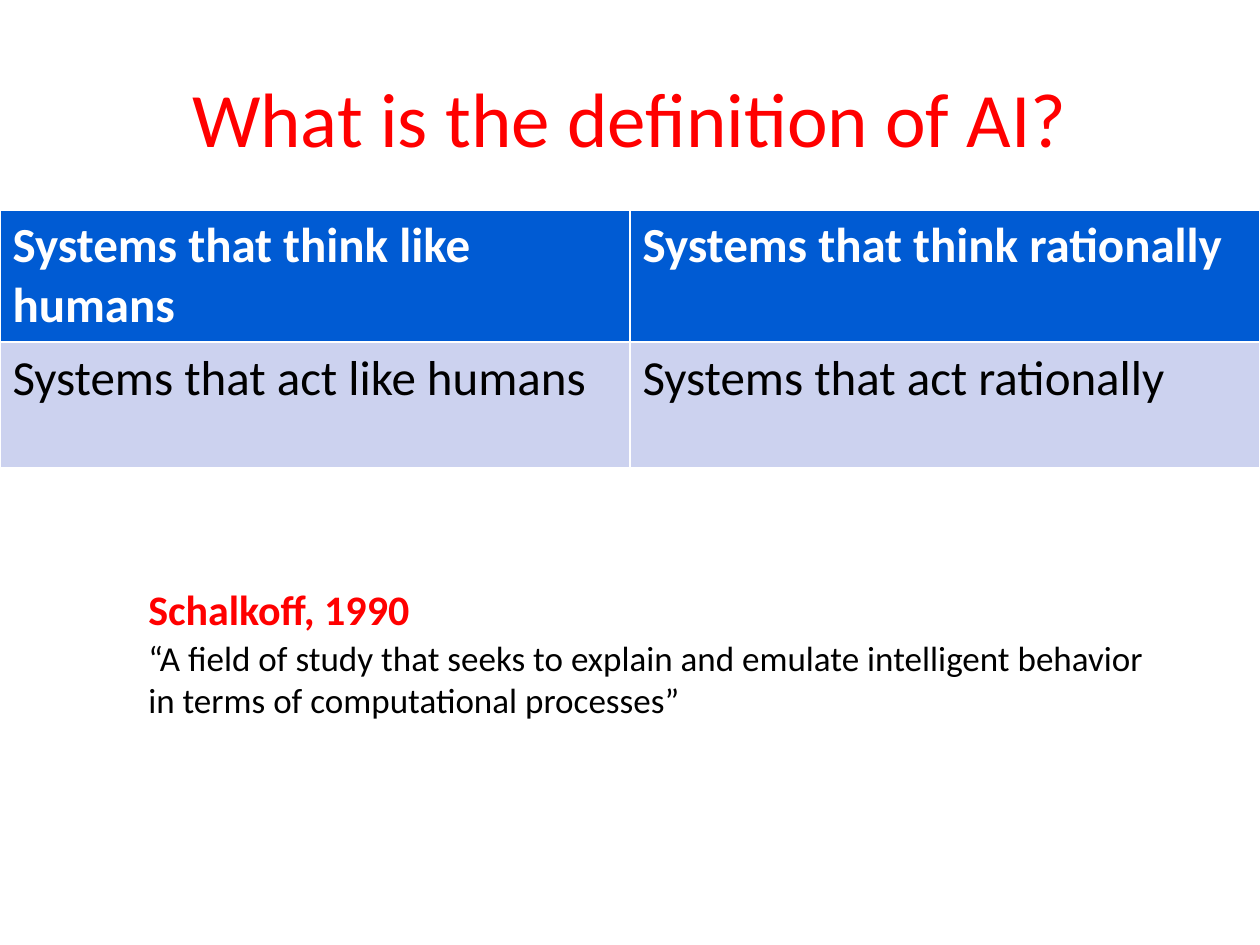
from pptx import Presentation
from pptx.dml.color import RGBColor as RGB
from pptx.enum.text import MSO_ANCHOR as Anchor, MSO_AUTO_SIZE as Fit, PP_ALIGN as Align
from pptx.util import Cm, Pt

RED = RGB(0xFF, 0x00, 0x00)
BLUE = RGB(0x00, 0x5B, 0xD3)
PALE = RGB(0xCC, 0xD2, 0xEF)
WHITE = RGB(0xFF, 0xFF, 0xFF)
BLACK = RGB(0x00, 0x00, 0x00)


class Deck:
    """Holds the font and the current slide, and adds elements to it."""

    def __init__(self, font, wide, high):
        self.font = font
        self.prs = Presentation()
        self.prs.slide_width, self.prs.slide_height = Cm(wide), Cm(high)
        self.slide = self.prs.slides.add_slide(self.prs.slide_layouts[5])

    def fill_text(self, frame, text, size, color, bold=False):
        frame.text = text
        para = frame.paragraphs[0]
        font = para.font
        font.name, font.size, font.bold = self.font, Pt(size), bold
        font.color.rgb = color
        return para

    def title(self, text, left, top, wide, high):
        shape = self.slide.shapes.title
        shape.left, shape.top = Cm(left), Cm(top)
        shape.width, shape.height = Cm(wide), Cm(high)
        frame = shape.text_frame
        frame.vertical_anchor = Anchor.MIDDLE
        self.fill_text(frame, text, 44, RED).alignment = Align.CENTER

    def table(self, data, left, top, wide, highs):
        frame = self.slide.shapes.add_table(
            len(data), len(data[0]), Cm(left), Cm(top), Cm(wide), Cm(sum(highs)))
        for r, (row, high) in enumerate(zip(data, highs)):
            head = r == 0
            frame.table.rows[r].height = Cm(high)
            for c, text in enumerate(row):
                cell = frame.table.cell(r, c)
                cell.fill.solid()
                cell.fill.fore_color.rgb = BLUE if head else PALE
                self.fill_text(cell.text_frame, text, 28, WHITE if head else BLACK, head)

    def label(self, text, left, top, wide, high, size, color, bold=False, wrap=True):
        box = self.slide.shapes.add_textbox(Cm(left), Cm(top), Cm(wide), Cm(high))
        frame = box.text_frame
        frame.word_wrap = wrap
        frame.auto_size = Fit.SHAPE_TO_FIT_TEXT
        self.fill_text(frame, text, size, color, bold)


def main():
    deck = Deck("Calibri", 25.4, 19.05)
    deck.title("What is the definition of AI?", 1.27, 0.76, 22.86, 3.18)
    deck.table(
        [["Systems that think like humans", "Systems that think rationally"],
         ["Systems that act like humans", "Systems that act rationally"]],
        0, 4.23, 25.4, [2.63, 2.54])
    deck.label("Schalkoff, 1990", 2.74, 11.63, 5.84, 1.27, 24, RED, bold=True, wrap=False)
    deck.label(
        "“A field of study that seeks to explain and emulate intelligent behavior "
        "in terms of computational processes”",
        2.74, 12.7, 20.96, 1.96, 20, BLACK)
    deck.prs.save("out.pptx")


if __name__ == "__main__":
    main()
